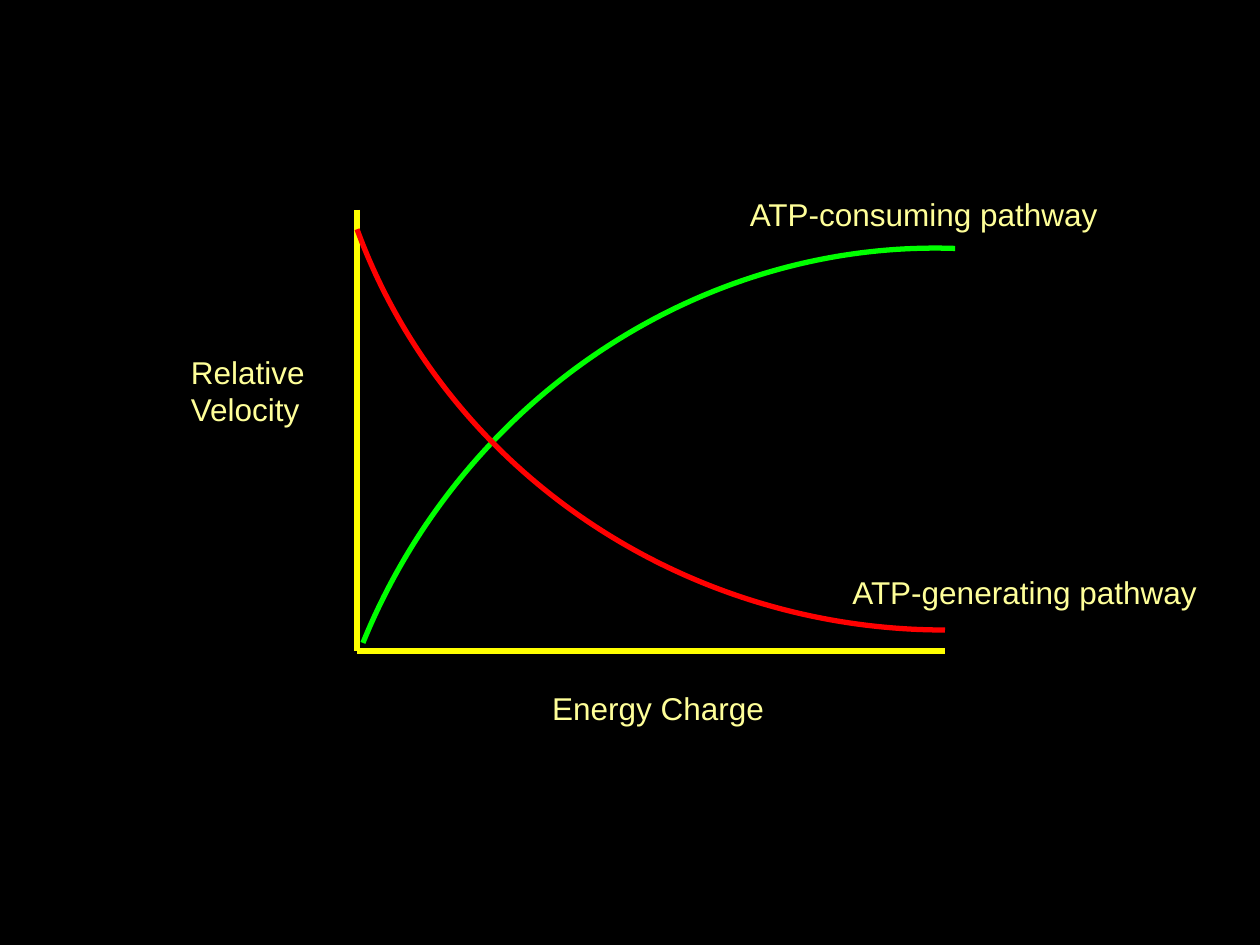
from lxml.etree import SubElement
from pptx import Presentation
from pptx.dml.color import RGBColor
from pptx.enum.shapes import MSO_CONNECTOR
from pptx.enum.text import MSO_AUTO_SIZE
from pptx.oxml.ns import qn
from pptx.util import Pt

BLACK, YELLOW, CREAM = "000000", "FFFF00", "FFFF99"
GREEN, RED = "00FF00", "FF0000"
FONT = {"name": "Arial", "size": Pt(18)}

# Plot frame, in points
LEFT, RIGHT, TOP, BOTTOM = 204, 540, 120, 372


def set_color(fmt, color):
    fmt.solid()
    fmt.fore_color.rgb = RGBColor.from_string(color)


def set_line(sp, color):
    set_color(sp.line.fill, color)
    sp.line.width = Pt(3)


def add_axis(s, start, end):
    sp = s.shapes.add_connector(
        MSO_CONNECTOR.STRAIGHT, *(Pt(v) for v in start + end))
    set_line(sp, YELLOW)
    SubElement(sp._element.spPr, qn("a:effectLst"))


def add_curve(s, points, color):
    """Draw one cubic Bezier: start, two control points, end."""
    start, *rest = [(Pt(x), Pt(y)) for x, y in points]
    fb = s.shapes.build_freeform(*start)
    fb.add_line_segments(rest, close=False)
    sp = fb.convert_to_shape()
    sp.shadow.inherit = False
    sp.fill.background()
    set_line(sp, color)
    # Turn the three straight segments into a single curve
    path = sp._element.find(".//" + qn("a:path"))
    segments = path.findall(qn("a:lnTo"))
    curve = SubElement(path, qn("a:cubicBezTo"))
    for segment in segments:
        curve.append(segment[0])
        path.remove(segment)


def add_label(s, lines, x, y, w, h):
    tf = s.shapes.add_textbox(Pt(x), Pt(y), Pt(w), Pt(h)).text_frame
    tf.word_wrap = False
    tf.auto_size = MSO_AUTO_SIZE.SHAPE_TO_FIT_TEXT
    for i, line in enumerate(lines):
        p = tf.add_paragraph() if i else tf.paragraphs[0]
        r = p.add_run()
        r.text = line
        for key, value in FONT.items():
            setattr(r.font, key, value)
        set_color(r.font.fill, CREAM)


def main():
    prs = Presentation()
    prs.slide_width, prs.slide_height = Pt(720), Pt(540)
    s = prs.slides.add_slide(prs.slide_layouts[6])
    set_color(s.background.fill, BLACK)

    # Axes
    add_axis(s, (LEFT, TOP), (LEFT, BOTTOM))
    add_axis(s, (LEFT, BOTTOM), (RIGHT, BOTTOM))

    # ATP-consuming, then ATP-generating pathway
    add_curve(s, [(207.4, 367.4), (264.2, 227.7),
                  (400.3, 137), (545.8, 142)], GREEN)
    add_curve(s, [(RIGHT, 360), (388.8, 360),
                  (254.2, 267.8), (LEFT, 131)], RED)

    # Axis and curve labels
    add_label(s, ["Relative", "Velocity"], 102, 198, 80, 50.4)
    add_label(s, ["Energy Charge"], 308.4, 390, 135.4, 28.8)
    add_label(s, ["ATP-generating pathway"], 480, 324, 212.4, 28.8)
    add_label(s, ["ATP-consuming pathway"], 421.4, 108, 214.6, 28.8)

    prs.save("out.pptx")


if __name__ == "__main__":
    main()
